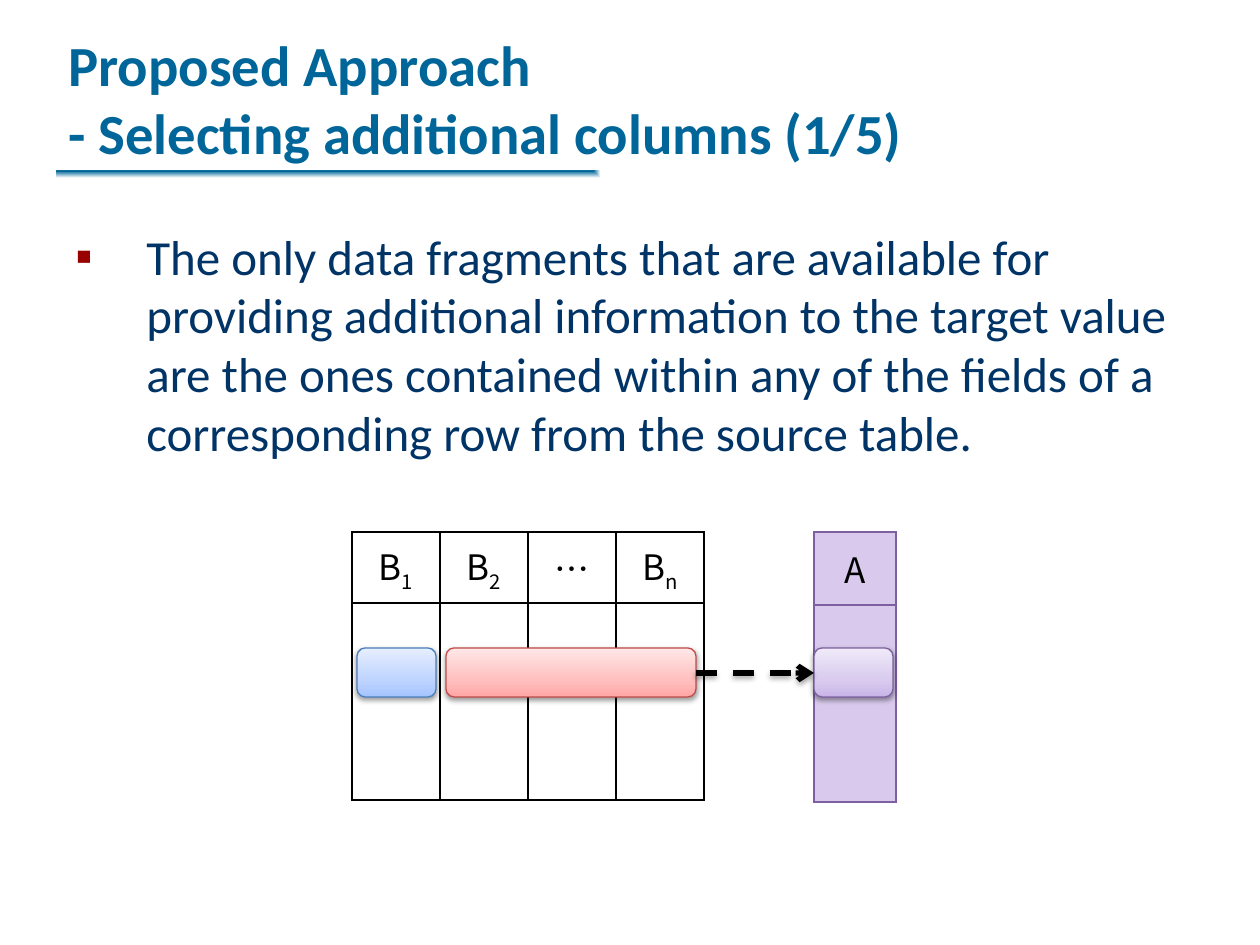
from lxml.etree import SubElement
from pptx import Presentation
from pptx.dml.color import RGBColor
from pptx.enum.dml import MSO_LINE
from pptx.enum.shapes import MSO_CONNECTOR, MSO_SHAPE
from pptx.enum.text import MSO_ANCHOR, PP_ALIGN
from pptx.oxml import parse_xml
from pptx.oxml.ns import nsdecls, qn
from pptx.util import Emu, Pt

SCALE = 914400 / 126
TEXT_FONT, TABLE_FONT = "Calibri", "Noto Sans CJK KR"

TEAL = RGBColor(0x00, 0x66, 0x99)
NAVY = RGBColor(0x00, 0x33, 0x66)
DARK_RED = RGBColor(0x99, 0x00, 0x00)
BLACK = RGBColor(0x00, 0x00, 0x00)
WHITE = RGBColor(0xFF, 0xFF, 0xFF)
LILAC = RGBColor(0xD9, 0xCA, 0xED)
BLUE_LINE = RGBColor(0x4B, 0x7E, 0xBC)
RED_LINE = RGBColor(0xBF, 0x4C, 0x48)
PURPLE_LINE = RGBColor(0x7D, 0x60, 0xA0)
BLUES = RGBColor(0xA4, 0xC4, 0xFF), RGBColor(0xBF, 0xD4, 0xFF), RGBColor(0xE6, 0xEE, 0xFF)
REDS = RGBColor(0xFF, 0xA6, 0xA5), RGBColor(0xFF, 0xC0, 0xBF), RGBColor(0xFF, 0xE7, 0xE7)
PURPLES = RGBColor(0xC9, 0xB5, 0xE8), RGBColor(0xD8, 0xCB, 0xEE), RGBColor(0xF0, 0xEA, 0xF9)


def px(n):
    return Emu(round(n * SCALE))


def box(*lengths):
    return [px(n) for n in lengths]


def add_text(slide, x, y, w, h, text, size, color, bold=False):
    tf = slide.shapes.add_textbox(*box(x, y, w, h)).text_frame
    tf.word_wrap = True
    tf.text = text
    p = tf.paragraphs[0]
    for r in p.runs:
        r.font.name, r.font.size, r.font.bold = TEXT_FONT, Pt(size), bold
        r.font.color.rgb = color
    return tf


def set_gradient(sp, stops, direction):
    """Fill with (percent, colour) stops; direction is the closing XML element."""
    sp.fill.gradient()
    old = sp.element.spPr.find(qn("a:gradFill"))
    gs = "".join(f'<a:gs pos="{pos * 1000}"><a:srgbClr val="{color}"/></a:gs>'
                 for pos, color in stops)
    new = parse_xml(f'<a:gradFill {nsdecls("a")} rotWithShape="1">'
                    f"<a:gsLst>{gs}</a:gsLst>{direction}</a:gradFill>")
    old.getparent().replace(old, new)


def add_shadow(sp, dist, alpha):
    """Drop a soft black shadow straight down; call after the line is set."""
    sp.element.spPr.append(parse_xml(
        f'<a:effectLst {nsdecls("a")}><a:outerShdw blurRad="{Pt(3.1)}" dist="{Pt(dist)}"'
        f' dir="5400000" rotWithShape="0"><a:srgbClr val="{BLACK}">'
        f'<a:alpha val="{alpha * 1000}"/></a:srgbClr></a:outerShdw></a:effectLst>'))


def add_heading(slide, x, y, w, h):
    bar = slide.shapes.add_shape(MSO_SHAPE.RECTANGLE, *box(x + 1, y + h - 1, w + 16, 14))
    bar.shadow.inherit = False
    bar.line.fill.background()
    set_gradient(bar, [(0, TEAL), (100, WHITE)],
                 '<a:path path="rect"><a:fillToRect r="100000" b="100000"/></a:path>')
    tf = add_text(slide, x, y, w, h,
                  "Proposed Approach\v- Selecting additional columns (1/5)", 32.4, TEAL, True)
    tf.vertical_anchor = MSO_ANCHOR.BOTTOM


def add_body(slide, x, y, w, h):
    tf = add_text(slide, x, y, w, h,
                  "The only data fragments that are available for providing additional "
                  "information to the target value are the ones contained within any of the "
                  "fields of a corresponding row from the source table.", 28, NAVY)
    pPr = tf.paragraphs[0]._p.get_or_add_pPr()
    pPr.set("marL", str(px(71)))
    pPr.set("indent", str(px(-71)))
    SubElement(SubElement(pPr, qn("a:buClr")), qn("a:srgbClr"), val=str(DARK_RED))
    SubElement(pPr, qn("a:buFont"), typeface="Arial")
    SubElement(pPr, qn("a:buChar"), char="▪")


def style_cell(cell, fill, line, width):
    if fill is None:
        cell.fill.background()
    else:
        cell.fill.solid()
        cell.fill.fore_color.rgb = fill
    tcPr = cell._tc.get_or_add_tcPr()
    for i, side in enumerate("LRTB"):
        tcPr.insert(i, parse_xml(
            f'<a:ln{side} {nsdecls("a")} w="{Pt(width)}"><a:solidFill>'
            f'<a:srgbClr val="{line}"/></a:solidFill></a:ln{side}>'))


def write_header(cell, name, subscript):
    cell.vertical_anchor = MSO_ANCHOR.MIDDLE
    p = cell.text_frame.paragraphs[0]
    p.alignment = PP_ALIGN.CENTER
    for text, baseline in ((name, 0), (subscript, -25000)):
        if text:
            r = p.add_run()
            r.text = text
            r.font.name, r.font.size, r.font.bold = TABLE_FONT, Pt(20), False
            r.font.color.rgb = BLACK
            rPr = r._r.get_or_add_rPr()
            rPr.set("baseline", str(baseline))
            rPr.find(qn("a:latin")).addnext(
                parse_xml(f'<a:ea {nsdecls("a")} typeface="{TABLE_FONT}"/>'))


def add_columns(slide, x, y, col_w, row_heights, headers, fill, line, width):
    """Table with one header row above one tall empty row."""
    table = slide.shapes.add_table(
        2, len(headers), *box(x, y, col_w * len(headers), sum(row_heights))).table
    table.first_row = table.horz_banding = False
    for row, height in zip(table.rows, row_heights):
        row.height = px(height)
    for col in table.columns:
        col.width = px(col_w)
    for cell in table.iter_cells():
        style_cell(cell, fill, line, width)
    for c, header in enumerate(headers):
        write_header(table.cell(0, c), *header)


def add_field(slide, x, y, w, h, colors, line):
    sp = slide.shapes.add_shape(MSO_SHAPE.ROUNDED_RECTANGLE, *box(x, y, w, h))
    set_gradient(sp, zip((0, 35, 100), colors), '<a:lin ang="16200000" scaled="1"/>')
    sp.line.color.rgb = line
    sp.line.width = Pt(0.75)
    add_shadow(sp, 1.6, 38)


def add_arrow(slide, x1, x2, y):
    line = slide.shapes.add_connector(MSO_CONNECTOR.STRAIGHT, *box(x1, y, x2, y))
    line.line.color.rgb = BLACK
    line.line.width = Pt(3)
    line.line.dash_style = MSO_LINE.DASH
    SubElement(line.line._get_or_add_ln(), qn("a:tailEnd"), type="arrow")
    add_shadow(line, 1.8, 35)


def add_diagram(slide, x, y):
    """Source columns B, target column A and the row that links them."""
    target_x, field_y, field_h = x + 462, y + 116, 49
    add_columns(slide, x, y, 88, (71, 197),
                [("B", "1"), ("B", "2"), ("…", ""), ("B", "n")], None, BLACK, 1)
    add_columns(slide, target_x, y, 82, (73, 197), [("A", "")], LILAC, PURPLE_LINE, 0.75)
    for left, width, colors, line in ((x + 5, 79, BLUES, BLUE_LINE),
                                      (x + 94, 250, REDS, RED_LINE),
                                      (target_x, 79, PURPLES, PURPLE_LINE)):
        add_field(slide, left, field_y, width, field_h, colors, line)
    add_arrow(slide, x + 344, target_x, field_y + field_h // 2 + 1)


def main():
    prs = Presentation()
    prs.slide_width, prs.slide_height = box(1260, 945)
    slide = prs.slides.add_slide(prs.slide_layouts[6])
    add_heading(slide, 56, 15, 1071, 157)
    add_body(slide, 63, 220, 1127, 615)
    add_diagram(slide, 352, 532)
    prs.save("out.pptx")


if __name__ == "__main__":
    main()
